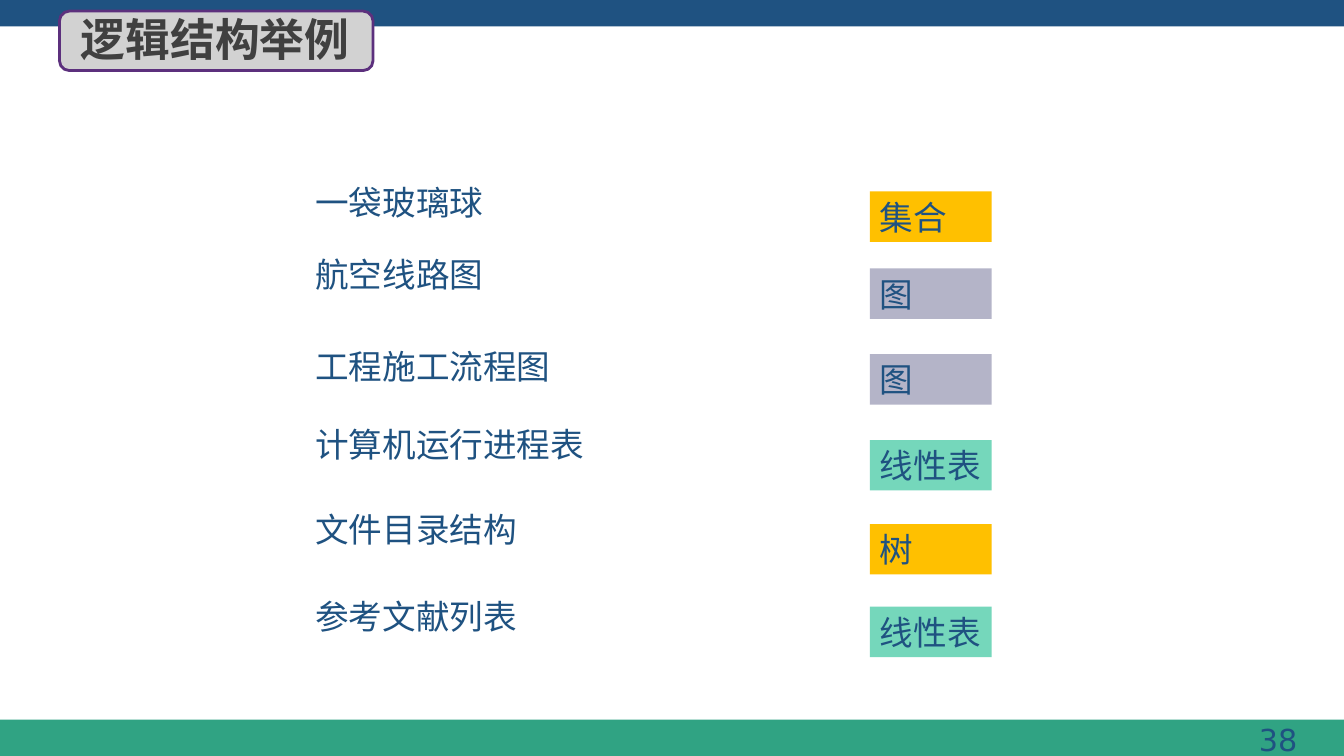
from pptx import Presentation
from pptx.dml.color import RGBColor
from pptx.enum import shapes, text
from pptx.oxml import ns
from pptx.util import Pt

NAVY = RGBColor(0x1F, 0x52, 0x81)
GREEN = RGBColor(0x30, 0xA3, 0x83)
GREY = RGBColor(0xD2, 0xD2, 0xD2)
PURPLE = RGBColor(0x5C, 0x30, 0x7D)
CHARCOAL = RGBColor(0x40, 0x40, 0x40)
GOLD = RGBColor(0xFF, 0xC0, 0x00)
LILAC = RGBColor(0xB4, 0xB4, 0xC8)
MINT = RGBColor(0x75, 0xD7, 0xBB)

BODY = {"name": "DejaVu Sans", "size": Pt(24)}
NUMBER = {"name": "DejaVu Sans", "size": Pt(21.6)}
HEADING = {"name": "Noto Sans CJK SC", "size": Pt(32), "bold": True}
FRAME = {"margin_left": Pt(7.2), "margin_right": Pt(7.2),
         "margin_top": Pt(3.6), "margin_bottom": Pt(3.6),
         "vertical_anchor": text.MSO_ANCHOR.TOP, "word_wrap": True,
         "auto_size": text.MSO_AUTO_SIZE.NONE}

WIDTH, HEIGHT = 960, 540
ROW_HEIGHT = 36
FILLS = {"集合": GOLD, "树": GOLD, "图": LILAC, "线性表": MINT}
# example, its top, structure, its top
ROWS = [
    ("一袋玻璃球", 126.7, "集合", 136.8),
    ("航空线路图", 177.8, "图", 191.8),
    ("工程施工流程图", 243.4, "图", 253),
    ("计算机运行进程表", 299.5, "线性表", 314.4),
    ("文件目录结构", 360, "树", 374.4),
    ("参考文献列表", 421.9, "线性表", 433.4),
]


def write(sp, words, font, color=NAVY, align=text.PP_ALIGN.LEFT):
    tf = sp.text_frame
    for key, value in FRAME.items():
        setattr(tf, key, value)
    p = tf.paragraphs[0]
    p.alignment = align
    r = p.add_run()
    r.text = words
    for key, value in font.items():
        setattr(r.font, key, value)
    r.font.color.rgb = color
    return r


def add_block(s, box, fill, kind=shapes.MSO_SHAPE.RECTANGLE):
    sp = s.shapes.add_shape(kind, *map(Pt, box))
    sp.shadow.inherit = False
    sp.fill.solid()
    sp.fill.fore_color.rgb = fill
    sp.line.fill.background()
    return sp


def add_label(s, box, words, font=BODY, align=text.PP_ALIGN.LEFT):
    write(s.shapes.add_textbox(*map(Pt, box)), words, font, align=align)


def add_title(s, words):
    frame = add_block(s, (42.5, 7.9, 224, 42.5), GREY,
                      shapes.MSO_SHAPE.ROUNDED_RECTANGLE)
    frame.line.color.rgb = PURPLE
    frame.line.width = Pt(2)
    title = s.shapes.title
    title.left, title.top, title.width, title.height = map(
        Pt, (50.4, 5, 217.4, 46))
    r = write(title, words, HEADING, CHARCOAL)
    ea = r.font._element.makeelement(ns.qn("a:ea"), {"typeface": HEADING["name"]})
    r.font._element.find(ns.qn("a:latin")).addnext(ea)
    frame._element.addnext(title._element)  # title in front of its frame


def main():
    prs = Presentation()
    prs.slide_width, prs.slide_height = Pt(WIDTH), Pt(HEIGHT)
    s = prs.slides.add_slide(prs.slide_layouts[5])
    add_block(s, (0, 514, WIDTH, 26), GREEN)
    add_block(s, (0, 0, WIDTH, 18.8), NAVY)
    add_label(s, (722.2, 511.9, 211.7, 33.1), "38", NUMBER, text.PP_ALIGN.RIGHT)
    add_title(s, "逻辑结构举例")
    for example, example_top, structure, structure_top in ROWS:
        add_label(s, (218.2, example_top, 221, ROW_HEIGHT), example)
        block = add_block(s, (621.4, structure_top, 87, ROW_HEIGHT),
                          FILLS[structure])
        write(block, structure, BODY)
    prs.save("out.pptx")


if __name__ == "__main__":
    main()
